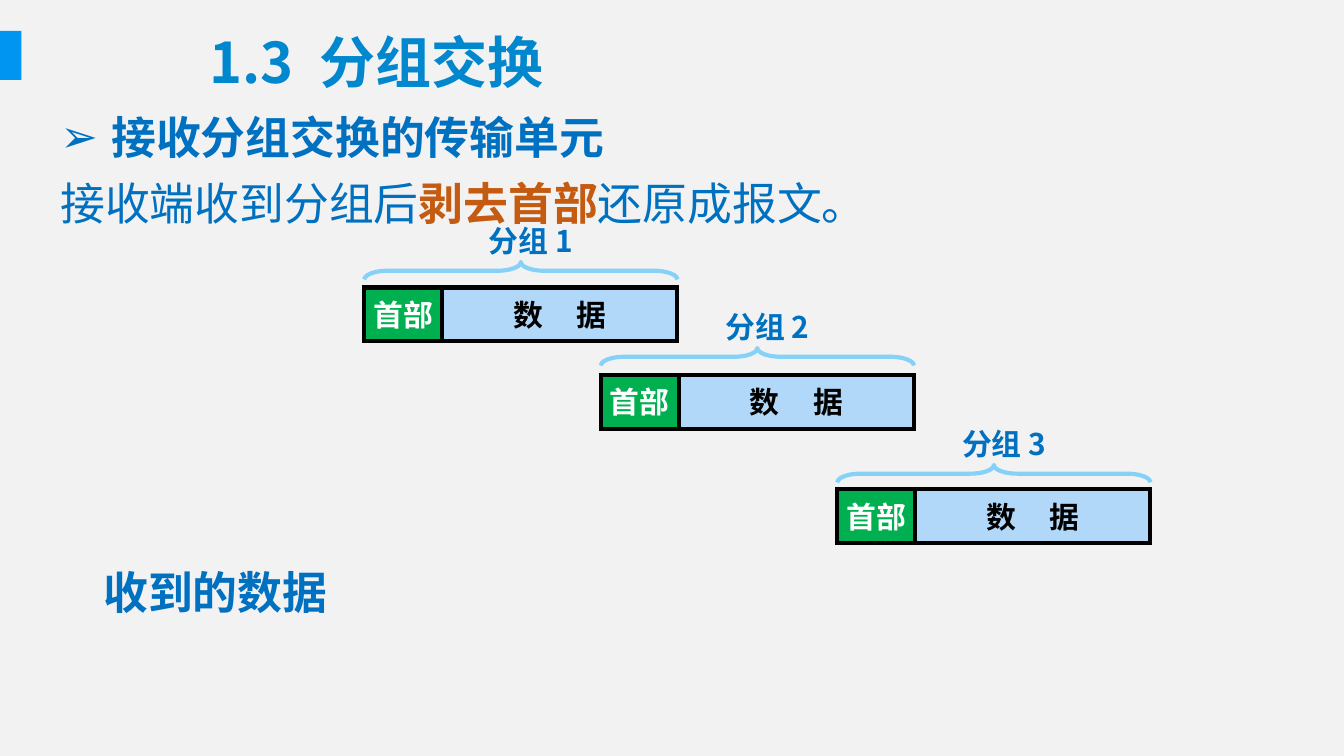
from pptx import Presentation
from pptx.dml.color import RGBColor
from pptx.enum.shapes import MSO_SHAPE
from pptx.enum.text import MSO_ANCHOR, MSO_AUTO_SIZE, PP_ALIGN
from pptx.oxml.ns import qn
from pptx.util import Pt
from lxml.etree import SubElement

EMU_PER_PX = 4572  # 200 px to the inch
CJK_FONT = "Noto Sans CJK SC"
LATIN_FONT = "Calibri"
COLORS = {
    "background": "F2F2F2",
    "accent": "0095F0",
    "title": "0087CD",
    "text": "0070C0",
    "emphasis": "C55A11",
    "header": "00B050",
    "data": "B1D8F9",
    "brace": "85D1F7",
    "black": "000000",
    "white": "FFFFFF",
}
PACKET_LEFT, PACKET_STEP = 542, 352
PACKET_TOPS = (428, 558, 728)
LABEL_TOPS = (324, 452, 626)
HEADER_WIDTH, DATA_WIDTH, PACKET_HEIGHT = 116, 350, 80
BRACE_DEPTH = 26


def px(*lengths):
    return [length * EMU_PER_PX for length in lengths]


def color(name):
    return RGBColor.from_string(COLORS[name])


def add_run(paragraph, text, size, color_name, bold=True, font=CJK_FONT, spacing=0):
    """Add a run; spacing widens each character, in points."""
    run = paragraph.add_run()
    run.text = text
    run.font.size = Pt(size)
    run.font.bold = bold
    run.font.name = font
    run.font.color.rgb = color(color_name)
    properties = run._r.get_or_add_rPr()
    SubElement(properties, qn("a:ea")).set("typeface", CJK_FONT)
    if spacing:
        properties.set("spc", str(round(spacing * 100)))


def add_spaced_pair(paragraph, first, second, size, color_name, spacing):
    """Add two texts set apart by one widened space."""
    add_run(paragraph, first, size, color_name)
    add_run(paragraph, " ", size, color_name, spacing=spacing)
    add_run(paragraph, second, size, color_name)


def add_text_box(slide, left, top, width, height):
    """Add a wrapping text box and return its first paragraph."""
    frame = slide.shapes.add_textbox(*px(left, top, width, height)).text_frame
    frame.word_wrap = True
    frame.auto_size = MSO_AUTO_SIZE.SHAPE_TO_FIT_TEXT
    return frame.paragraphs[0]


def add_label(slide, left, top, text):
    """Add a one-line packet label."""
    frame = slide.shapes.add_textbox(*px(left, top, 160, 68)).text_frame
    frame.word_wrap = False
    frame.margin_right = 0
    frame.vertical_anchor = MSO_ANCHOR.MIDDLE
    add_run(frame.paragraphs[0], text, 16, "text")


def add_shape(slide, kind, box, fill=None, line=None):
    shape = slide.shapes.add_shape(kind, *px(*box))
    shape.shadow.inherit = False
    if fill:
        shape.fill.solid()
        shape.fill.fore_color.rgb = color(fill)
    else:
        shape.fill.background()
    if line:
        shape.line.color.rgb = color(line)
        shape.line.width = Pt(2.25)
    else:
        shape.line.fill.background()
    return shape


def add_cell(slide, left, top, width, fill):
    """Add one sharp-cornered part of a packet and return its centred paragraph."""
    box = (left, top, width, PACKET_HEIGHT)
    cell = add_shape(slide, MSO_SHAPE.RECTANGLE, box, fill, "black")
    outline = cell._element.spPr.find(qn("a:ln"))
    SubElement(outline, qn("a:miter")).set("lim", "800000")
    frame = cell.text_frame
    frame.word_wrap = False
    frame.vertical_anchor = MSO_ANCHOR.MIDDLE
    paragraph = frame.paragraphs[0]
    paragraph.alignment = PP_ALIGN.CENTER
    return paragraph


def add_top_brace(slide, left, top, width):
    """Add a left brace turned to span the given width from above."""
    offset = (width - BRACE_DEPTH) // 2
    box = (left + offset, top - offset, BRACE_DEPTH, width)
    brace = add_shape(slide, MSO_SHAPE.LEFT_BRACE, box, line="brace")
    brace.rotation = 90
    brace.adjustments[0] = 1.34
    brace.adjustments[1] = 0.5


def add_packet(slide, number, left, top, label_top):
    data = add_cell(slide, left + HEADER_WIDTH, top, DATA_WIDTH, "data")
    add_spaced_pair(data, "数", "据", 16, "black", spacing=14.5)
    header = add_cell(slide, left, top, HEADER_WIDTH, "header")
    add_run(header, "首部", 16, "white")
    add_top_brace(slide, left, label_top + 66, HEADER_WIDTH + DATA_WIDTH)
    add_label(slide, left + 166, label_top, f"分组 {number}")


def add_title(slide):
    title = slide.shapes.title
    title.left, title.top, title.width, title.height = px(292, 28, 1622, 126)
    title.text_frame.vertical_anchor = MSO_ANCHOR.MIDDLE
    paragraph = title.text_frame.paragraphs[0]
    paragraph.alignment = PP_ALIGN.LEFT
    add_spaced_pair(paragraph, "1.3", "分组交换", 30, "title", spacing=7)


def add_bullet_heading(slide):
    paragraph = add_text_box(slide, 70, 154, 1842, 100)
    properties = paragraph._p.get_or_add_pPr()
    indent, = px(76)
    properties.set("marL", str(indent))
    properties.set("indent", str(-indent))
    SubElement(properties, qn("a:buFont")).set("typeface", LATIN_FONT)
    SubElement(properties, qn("a:buChar")).set("char", "➢")
    add_run(paragraph, "接收分组交换的传输单元", 24, "text", font=LATIN_FONT)


def main():
    presentation = Presentation()
    presentation.slide_width, presentation.slide_height = px(2000, 1125)
    slide = presentation.slides.add_slide(presentation.slide_layouts[5])
    slide.background.fill.solid()
    slide.background.fill.fore_color.rgb = color("background")

    add_shape(slide, MSO_SHAPE.RECTANGLE, (-2, 46, 34, 73), "accent")
    add_title(slide)
    add_bullet_heading(slide)

    description = add_text_box(slide, 70, 252, 1842, 100)
    add_run(description, "接收端收到分组后", 24, "text", bold=False)
    add_run(description, "剥去首部", 24, "emphasis")
    add_run(description, "还原成报文。", 24, "text", bold=False)

    for index, (top, label_top) in enumerate(zip(PACKET_TOPS, LABEL_TOPS)):
        left = PACKET_LEFT + index * PACKET_STEP
        add_packet(slide, index + 1, left, top, label_top)

    received = add_text_box(slide, 134, 830, 546, 100)
    add_run(received, "收到的数据", 24, "text")
    presentation.save("out.pptx")


if __name__ == "__main__":
    main()
